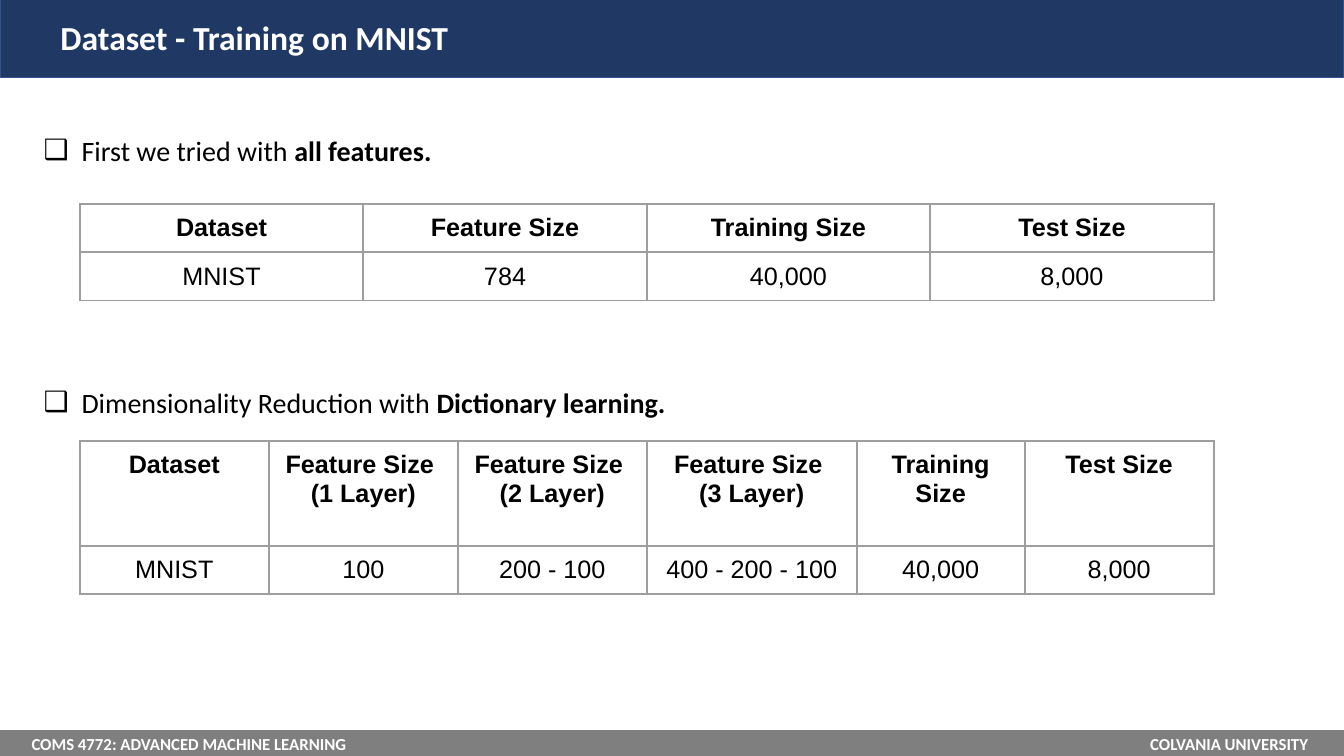
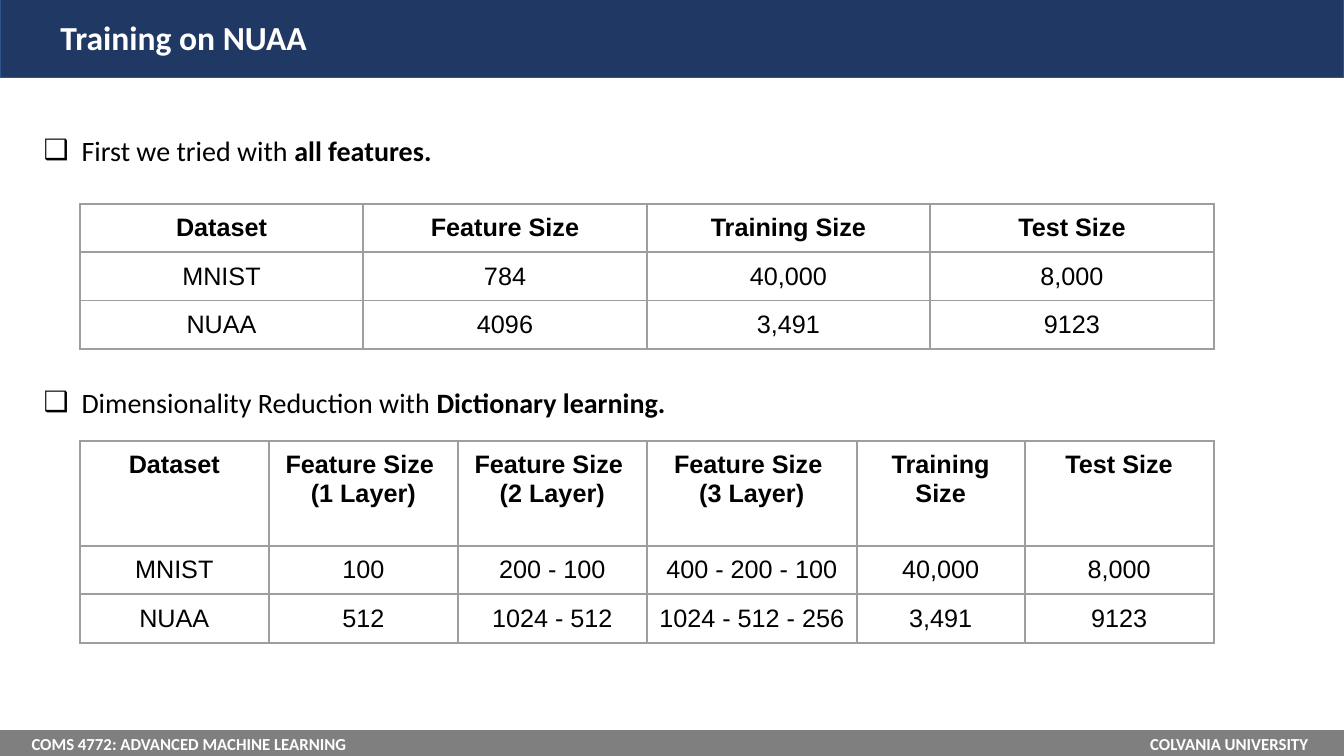
from lxml import etree
from pptx import Presentation
from pptx import util as u
from pptx.dml import color
from pptx.enum import shapes, text
from pptx.oxml import ns

# Square grid: 64 columns by 36 rows
COLS, ROWS = 64, 36
CELL = 7.5 / ROWS


def grid(n):
    return u.Inches(n * CELL)


def rgb(code):
    return color.RGBColor.from_string(code)


def node(parent, tag, **attrs):
    return etree.SubElement(parent, ns.qn(tag), {k: str(v) for k, v in attrs.items()})


def tint(parent, code):
    node(node(parent, "a:solidFill"), "a:srgbClr", val=code)


class Deck:
    NAVY, EDGE, GRAY, RULE = "1F3864", "31538F", "7F7F7F", "9E9E9E"
    WHITE, BLACK = "FFFFFF", "000000"
    HEAD, BODY = "Calibri", "Arial"
    PAD = 0.48
    FOOT = ("COMS 4772: ADVANCED MACHINE LEARNING", "COLVANIA UNIVERSITY")

    def __init__(self):
        self.prs = Presentation()
        self.prs.slide_width, self.prs.slide_height = grid(COLS), grid(ROWS)
        self.slide = None

    def run(self, para, words, size, font, code, bold=False):
        run = para.add_run()
        run.text = words
        run.font.size, run.font.name, run.font.bold = u.Pt(size), font, bold
        run.font.color.rgb = rgb(code)

    def place(self, shape, left, top, width, height):
        shape.left, shape.top = grid(left), grid(top)
        shape.width, shape.height = grid(width), grid(height)

    def paint(self, shape, fill, line):
        shape.fill.solid()
        shape.fill.fore_color.rgb = rgb(fill)
        shape.line.color.rgb = rgb(line)
        shape.line.width = u.Pt(1)

    def frame(self, shape, left, anchor):
        frame = shape.text_frame
        frame.word_wrap, frame.auto_size = True, text.MSO_AUTO_SIZE.NONE
        frame.vertical_anchor = anchor
        frame.margin_left, frame.margin_right = grid(left), grid(self.PAD)
        return frame

    def page(self, title):
        self.slide = self.prs.slides.add_slide(self.prs.slide_layouts[1])
        self.title(title)
        self.footer()

    def title(self, words):
        bar = self.slide.shapes.title
        self.place(bar, 0, -0.2, COLS, 3.9)
        self.paint(bar, self.NAVY, self.EDGE)
        para = self.frame(bar, 2.88, text.MSO_ANCHOR.MIDDLE).paragraphs[0]
        para.alignment = text.PP_ALIGN.LEFT
        self.run(para, words, 24, self.HEAD, self.WHITE, True)

    def footer(self):
        bar = self.slide.shapes.add_shape(
            shapes.MSO_SHAPE.FLOWCHART_PROCESS,
            0, grid(ROWS - 1.2), grid(COLS), grid(1.2))
        bar.shadow.inherit = False
        self.paint(bar, self.GRAY, self.GRAY)
        para = self.frame(bar, 1.5, text.MSO_ANCHOR.MIDDLE).paragraphs[0]
        para.alignment = text.PP_ALIGN.LEFT
        # A right tab pushes the second part to the far edge
        tabs = node(para._p.get_or_add_pPr(), "a:tabLst")
        node(tabs, "a:tab", pos=grid(COLS - 3.2), algn="r")
        left, right = self.FOOT
        for words in (left, "\t", right):
            self.run(para, words, 12, self.HEAD, self.WHITE, True)

    def bullets(self, items, gap):
        body = self.slide.placeholders[1]
        self.place(body, 1.6, 6.1, 61.5, 19.7)
        frame = self.frame(body, self.PAD, text.MSO_ANCHOR.TOP)
        for i, (plain, strong) in enumerate(items):
            para = frame.add_paragraph() if i else frame.paragraphs[0]
            para.space_before = u.Pt(gap if i else 0)
            props = para._p.get_or_add_pPr()
            props.set("marL", str(grid(1.8)))
            props.set("indent", str(-grid(1.8)))
            tint(node(props, "a:buClr"), self.BLACK)
            node(props, "a:buFont", typeface=self.BODY)
            node(props, "a:buChar", char="❑")
            self.run(para, plain, 20, self.HEAD, self.BLACK)
            self.run(para, strong, 20, self.HEAD, self.BLACK, True)

    def table(self, top, widths, first, rows):
        shape = self.slide.shapes.add_table(
            len(rows), len(widths), grid(3.8), grid(top),
            grid(sum(widths)), grid(first + 2.3 * (len(rows) - 1)))
        table = shape.table
        table.first_row = table.horz_banding = False
        for col, width in zip(table.columns, widths):
            col.width = grid(width)
        for r, row in enumerate(rows):
            table.rows[r].height = grid(2.3 if r else first)
            for c, words in enumerate(row):
                self.cell(table.cell(r, c), words, r == 0)

    def cell(self, cell, words, bold):
        cell.margin_left = cell.margin_right = grid(self.PAD)
        cell.margin_top = cell.margin_bottom = grid(self.PAD)
        props = cell._tc.get_or_add_tcPr()
        for side in "LRTB":
            tint(node(props, "a:ln" + side, w=u.Pt(1.5)), self.RULE)
        cell.fill.background()
        frame = cell.text_frame
        for i, line in enumerate(words.split("\n")):
            para = frame.add_paragraph() if i else frame.paragraphs[0]
            para.alignment = text.PP_ALIGN.CENTER
            self.run(para, line, 18, self.BODY, self.BLACK, bold)


# Table contents: each data set has a row in both tables
FULL = ("Dataset", "Feature Size", "Training Size", "Test Size")
LAYERS = [f"Feature Size \n({n} Layer)" for n in (1, 2, 3)]
DICT = ("Dataset", *LAYERS, "Training Size", "Test Size")
SETS = [
    ("MNIST", "784", ("100", "200 - 100", "400 - 200 - 100"), ("40,000", "8,000")),
    ("NUAA", "4096", ("512", "1024 - 512", "1024 - 512 - 256"), ("3,491", "9123")),
]
POINTS = [("First we tried with ", "all features."),
          ("Dimensionality Reduction with ", "Dictionary learning.")]


def main():
    deck = Deck()
    for count, title in enumerate(("Dataset - Training on MNIST", "Training on NUAA"), 1):
        sets = SETS[:count]
        deck.page(title)
        deck.bullets(POINTS, 156)
        deck.table(9.7, [13.5] * 4, 2.3,
                   [FULL] + [(name, size, *split) for name, size, _, split in sets])
        deck.table(21, [9, 9, 9, 10, 8, 9], 5,
                   [DICT] + [(name, *sizes, *split) for name, _, sizes, split in sets])
    deck.prs.save("out.pptx")


if __name__ == "__main__":
    main()
